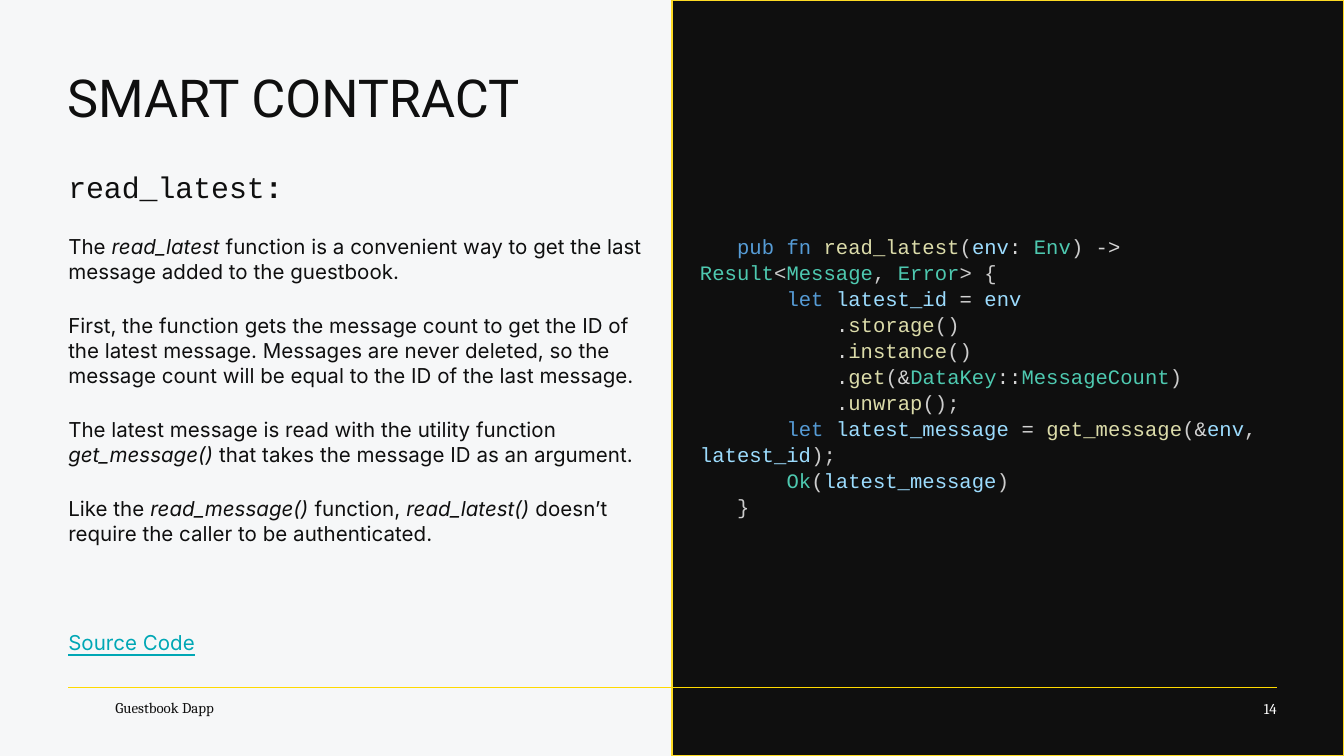
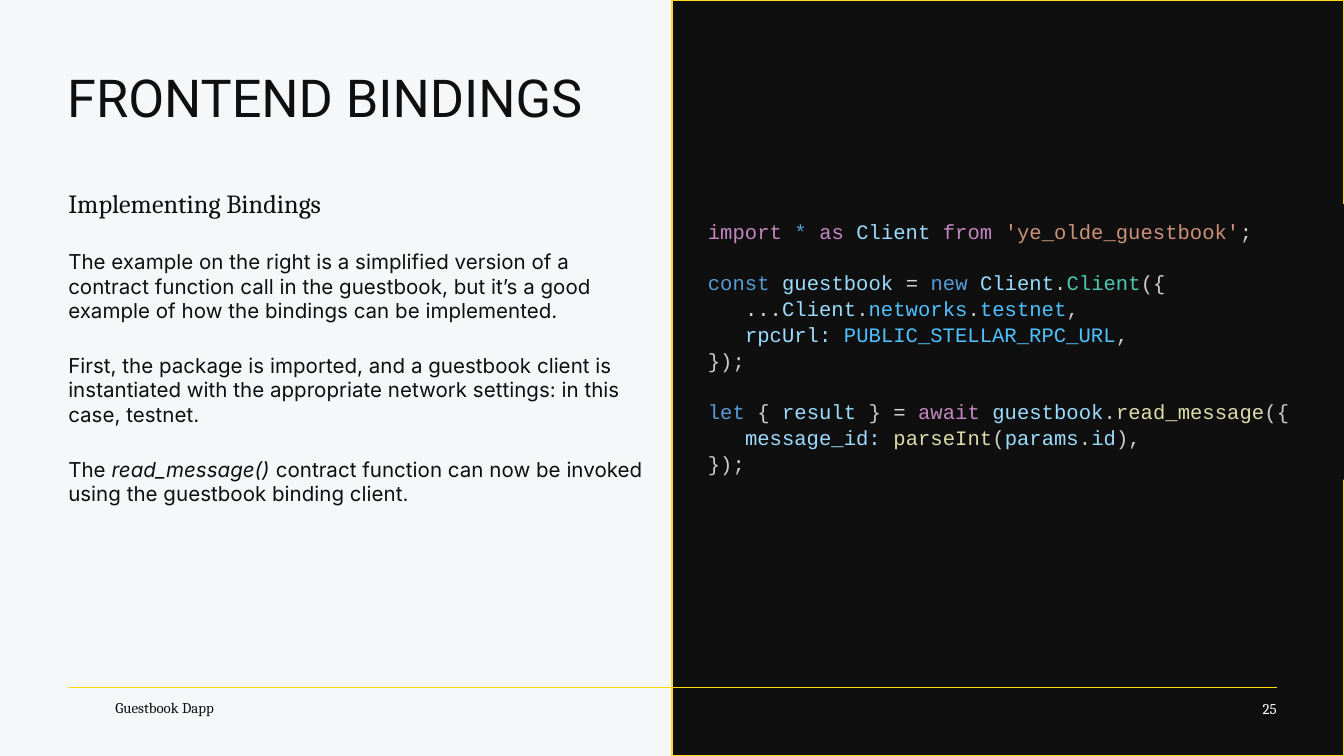
from lxml.etree import SubElement
from pptx import Presentation
from pptx.dml.color import RGBColor
from pptx.enum.shapes import MSO_CONNECTOR, MSO_SHAPE
from pptx.enum.text import MSO_ANCHOR, MSO_AUTO_SIZE, PP_ALIGN
from pptx.oxml.ns import qn
from pptx.util import Cm, Pt

# Colours
INK = RGBColor(0x0F, 0x0F, 0x0F)
PAPER = RGBColor(0xF6, 0xF7, 0xF8)
WHITE = RGBColor(0xFF, 0xFF, 0xFF)
GOLD = RGBColor(0xFD, 0xDA, 0x24)
RULE = RGBColor(0xFF, 0xDA, 0x00)
TEAL = RGBColor(0x00, 0xA7, 0xB5)
PLAIN = RGBColor(0xCC, 0xCC, 0xCC)

# Syntax colours, by the key used in the code markup
SYNTAX = {
    "k": RGBColor(0x56, 0x9C, 0xD6),  # keyword
    "m": RGBColor(0xC5, 0x86, 0xC0),  # module or control word
    "f": RGBColor(0xDC, 0xDC, 0xAA),  # function
    "v": RGBColor(0x9C, 0xDC, 0xFE),  # variable
    "t": RGBColor(0x4E, 0xC9, 0xB0),  # type
    "c": RGBColor(0x4F, 0xC1, 0xFF),  # constant
    "s": RGBColor(0xCE, 0x91, 0x78),  # string
    "o": RGBColor(0xD4, 0xD4, 0xD4),  # operator
}

HEAD, SERIF, SANS, MONO = "Roboto", "Cambria", "Inter", "Courier New"
WIDE, HIGH = 25.4, 14.29
LEFT, RIGHT = 1.29, 24.13
PAD = 0.25
GAP = 16
LINE = 13.2

# Code: `key:text` is coloured, the rest is plain
RUST = """\
   `k:pub` `k:fn` `f:read_latest`(`v:env``o::` `t:Env`) `o:->` `t:Result`<`t:Message`, `t:Error`> {
       `k:let` `v:latest_id` `o:=` `v:env`
           `o:.``f:storage`()
           `o:.``f:instance`()
           `o:.``f:get`(`o:&``t:DataKey``o:::``t:MessageCount`)
           `o:.``f:unwrap`();
       `k:let` `v:latest_message` `o:=` `f:get_message`(`o:&``v:env`, `v:latest_id`);
       `t:Ok`(`v:latest_message`)
   }"""

SCRIPT = """\
`m:import` `k:*` `m:as` `v:Client` `m:from` `s:'ye_olde_guestbook'`;

`k:const` `v:guestbook` `o:=` `k:new` `v:Client`.`t:Client`({
   `o:...``v:Client`.`c:networks`.`c:testnet`,
   `v:rpcUrl:` `c:PUBLIC_STELLAR_RPC_URL`,
});

`k:let` { `v:result` } `o:=` `m:await` `v:guestbook`.`f:read_message`({
   `v:message_id:` `f:parseInt`(`v:params`.`v:id`),
});"""

# Prose: *text* is italic
LATEST = [
    "The *read_latest* function is a convenient way to get the last message "
    "added to the guestbook.",
    "First, the function gets the message count to get the ID of the latest "
    "message. Messages are never deleted, so the message count will be equal "
    "to the ID of the last message.",
    "The latest message is read with the utility function *get_message()* "
    "that takes the message ID as an argument.",
    "Like the *read_message()* function, *read_latest()* doesn’t require the "
    "caller to be authenticated.",
]
BINDINGS = [
    "The example on the right is a simplified version of a contract function "
    "call in the guestbook, but it’s a good example of how the bindings can "
    "be implemented.",
    "First, the package is imported, and a guestbook client is instantiated "
    "with the appropriate network settings: in this case, testnet.",
    "The *read_message()* contract function can now be invoked using the "
    "guestbook binding client.",
]


class Deck:
    """Holds the shared style and the current slide."""

    def __init__(self):
        self.file = Presentation()
        self.file.slide_width, self.file.slide_height = Cm(WIDE), Cm(HIGH)
        self.slide = None

    def start(self, title, page):
        self.slide = self.file.slides.add_slide(self.file.slide_layouts[1])
        fill = self.slide.background.fill
        fill.solid()
        fill.fore_color.rgb = PAPER
        self.panel()
        self.title(title)
        self.label(page, 22.6, 12.95, 1.53, 0.87, WHITE, PP_ALIGN.RIGHT)
        self.label("Guestbook Dapp", 2.18, 13.03, 5.97, 0.69, INK)
        self.rule(13)

    def place(self, shape, x, y, w, h):
        shape.left, shape.top, shape.width, shape.height = map(Cm, (x, y, w, h))

    def frame(self, shape, anchor, *pads):
        frame = shape.text_frame
        frame.word_wrap = True
        frame.auto_size = MSO_AUTO_SIZE.NONE
        frame.vertical_anchor = anchor
        (frame.margin_left, frame.margin_top,
         frame.margin_right, frame.margin_bottom) = map(Cm, pads)
        return frame

    def font(self, para, name, size, color=None):
        font = para.font
        font.name, font.size = name, Pt(size)
        if color is not None:
            font.color.rgb = color

    def box(self, x, y, w, h):
        shape = self.slide.shapes.add_shape(
            MSO_SHAPE.RECTANGLE, Cm(x), Cm(y), Cm(w), Cm(h))
        shape.shadow.inherit = False
        shape.fill.solid()
        shape.fill.fore_color.rgb = INK
        return shape

    def panel(self):
        shape = self.box(WIDE / 2, 0, WIDE / 2, HIGH)
        shape.line.color.rgb = GOLD
        shape.line.width = Pt(0.75)
        # Send behind the placeholders
        self.slide.shapes._spTree.insert(2, shape._element)

    def title(self, text):
        shape = self.slide.shapes.title
        self.place(shape, 1.27, 1.24, 22.86, 1.2)
        para = self.frame(shape, MSO_ANCHOR.TOP, 0, 0, 0, 0).paragraphs[0]
        para.text = text
        para.alignment = PP_ALIGN.LEFT
        self.font(para, HEAD, 28, INK)

    def label(self, text, x, y, w, h, color, align=PP_ALIGN.LEFT):
        shape = self.slide.shapes.add_textbox(Cm(x), Cm(y), Cm(w), Cm(h))
        para = self.frame(shape, MSO_ANCHOR.MIDDLE, 0, 0, 0, 0).paragraphs[0]
        para.text = text
        para.alignment = align
        self.font(para, SERIF, 8, color)

    def rule(self, y):
        line = self.slide.shapes.add_connector(
            MSO_CONNECTOR.STRAIGHT, Cm(LEFT), Cm(y), Cm(RIGHT), Cm(y))
        line.line.color.rgb = RULE
        line.line.width = Pt(0.75)
        SubElement(line._element.spPr, qn("a:effectLst"))

    def add(self, frame, first, before):
        """Return the next unbulleted paragraph."""
        para = frame.paragraphs[0] if first else frame.add_paragraph()
        props = para._p.get_or_add_pPr()
        props.set("marL", "0")
        props.set("indent", "0")
        SubElement(props, qn("a:buNone"))
        para.alignment = PP_ALIGN.LEFT
        para.space_before = Pt(0 if first else before)
        return para

    def prose(self, y, h, head, name, size, texts):
        """Fill the body with a heading and paragraphs; return its frame."""
        shape = self.slide.placeholders[1]
        self.place(shape, LEFT, y, 11.15, h)
        frame = self.frame(shape, MSO_ANCHOR.TOP, 0, PAD, PAD, PAD)
        para = self.add(frame, True, 0)
        para.add_run().text = head
        self.font(para, name, size, INK)
        for text in texts:
            para = self.add(frame, False, GAP)
            self.font(para, SANS, 11, INK)
            for i, part in enumerate(text.split("*")):
                run = para.add_run()
                run.text = part
                if i % 2:
                    run.font.italic = True
        return frame

    def source(self, frame, text):
        para = self.add(frame, False, 2 * GAP + LINE)
        para.add_run().text = text
        self.font(para, SANS, 11, TEAL)
        para.font.underline = True

    def code(self, text, x, y, w, h):
        shape = self.box(x, y, w, h)
        shape.line.fill.background()
        frame = self.frame(shape, MSO_ANCHOR.TOP, PAD, PAD, PAD, PAD)
        first, before = True, 0
        for line in text.split("\n"):
            if not line:
                before = LINE
                continue
            para = self.add(frame, first, before)
            para.line_spacing = 1.06
            self.font(para, MONO, 11)
            first, before = False, 0
            for i, part in enumerate(line.split("`")):
                if not part:
                    continue
                key, _, word = part.partition(":") if i % 2 else ("", "", part)
                run = para.add_run()
                run.text = word
                run.font.color.rgb = SYNTAX.get(key, PLAIN)


def main():
    deck = Deck()

    # Smart contract
    deck.start("SMART CONTRACT", "14")
    frame = deck.prose(2.87, 9.78, "read_latest", MONO, 16, LATEST)
    head = frame.paragraphs[0]
    head.line_spacing = 1.1
    colon = head.add_run()
    colon.text = ":"
    colon.font.bold = True
    deck.source(frame, "Source Code")
    deck.code(RUST, 12.98, 4.14, 12.14, 5.69)

    # Frontend bindings
    deck.start("FRONTEND BINDINGS", "25")
    deck.prose(3.3, 6.58, "Implementing Bindings", SERIF, 14, BINDINGS)
    deck.code(SCRIPT, 13.13, 3.86, 12.27, 5.21)

    deck.file.save("out.pptx")


if __name__ == "__main__":
    main()
